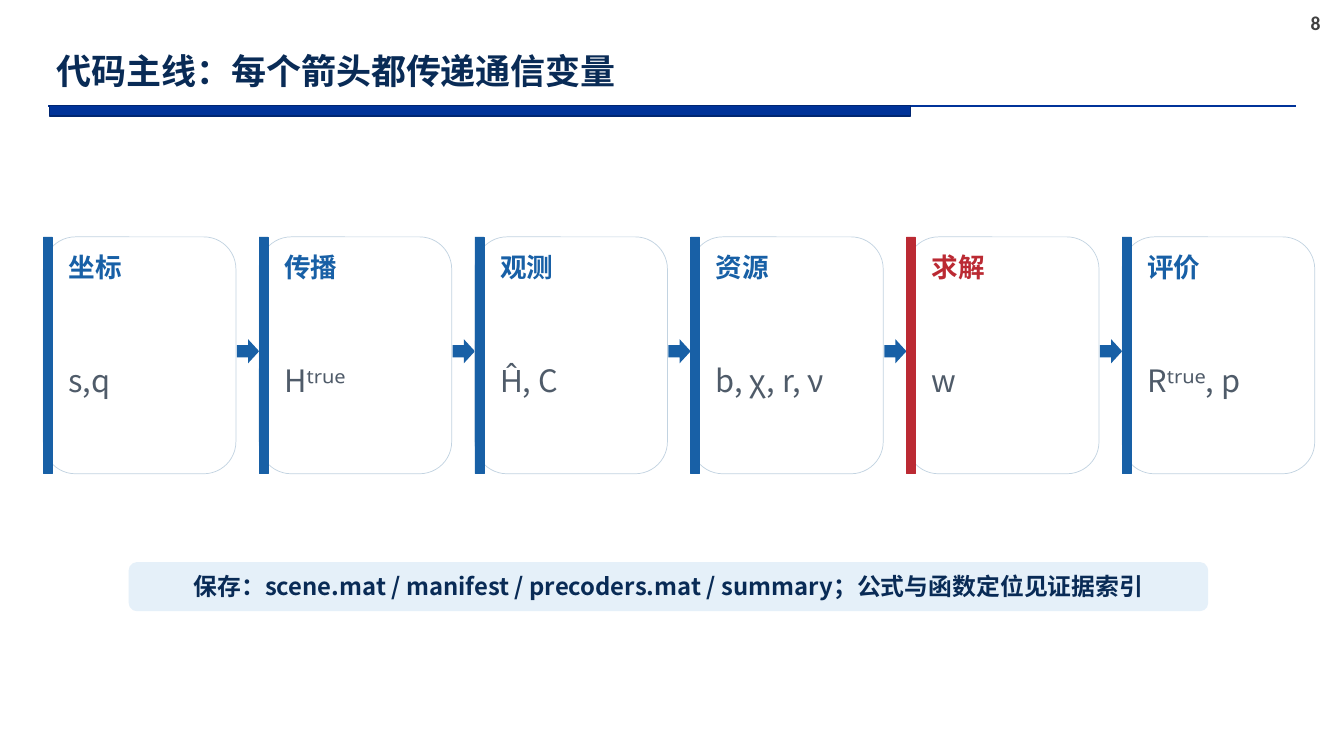
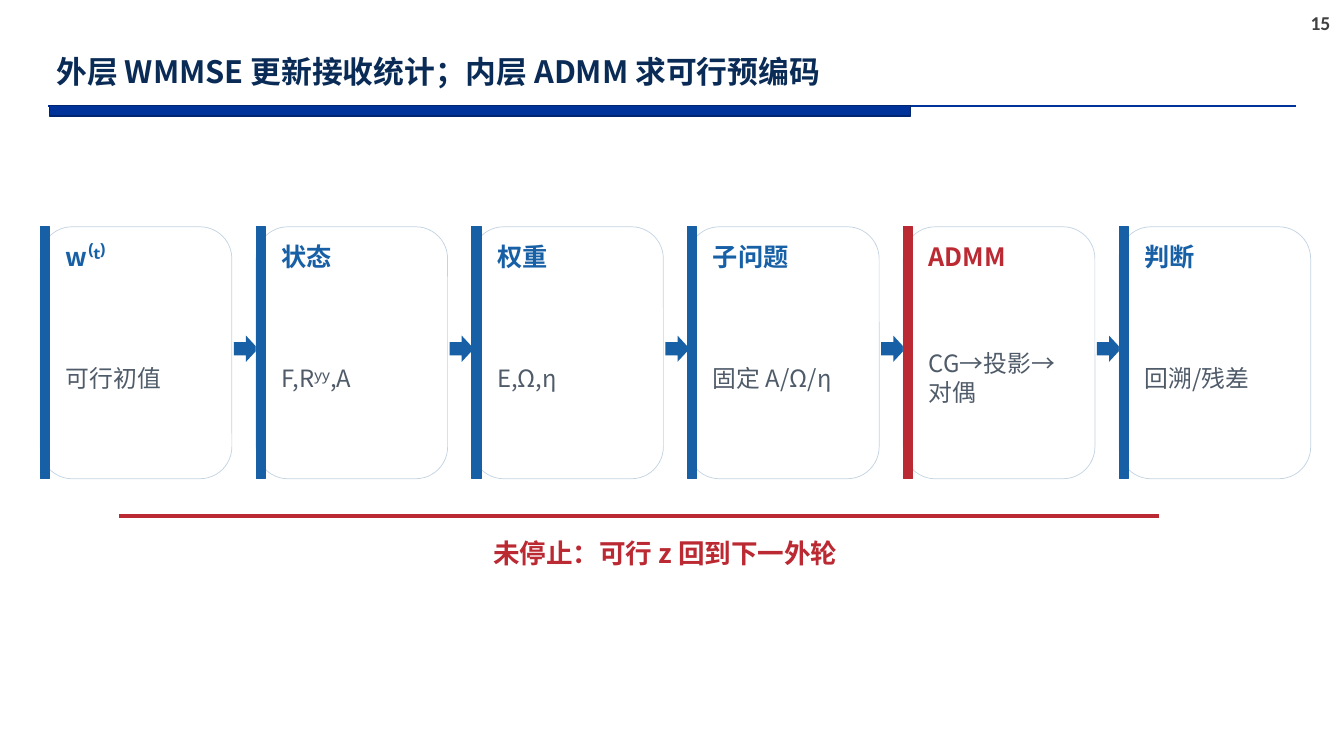
from lxml.etree import SubElement
from pptx import Presentation
from pptx.dml.color import RGBColor
from pptx.enum.shapes import MSO_CONNECTOR, MSO_SHAPE
from pptx.enum.text import MSO_ANCHOR, PP_ALIGN
from pptx.oxml.ns import qn
from pptx.util import Inches, Pt

NAVY = RGBColor(0x09, 0x2B, 0x56)
BAND = RGBColor(0x00, 0x33, 0x99)
BAND_EDGE = RGBColor(0x00, 0x26, 0x71)
BLUE = RGBColor(0x18, 0x60, 0xA6)
RED = RGBColor(0xBB, 0x2A, 0x33)
GREY = RGBColor(0x4F, 0x5B, 0x69)
DARK = RGBColor(0x40, 0x40, 0x40)
CARD_EDGE = RGBColor(0xC2, 0xD3, 0xE1)
PALE = RGBColor(0xE5, 0xF0, 0xF9)
WHITE = RGBColor(0xFF, 0xFF, 0xFF)

BODY_FONT = "Noto Sans CJK SC"
NUMBER_FONT = "Calibri"

CARD_PITCH = 2.14
BAR_WIDTH = 0.09
ARROW_OFFSET = 1.92
ARROW_LIFT = 0.04


def box(left, top, width, height):
    return Inches(left), Inches(top), Inches(width), Inches(height)


def style_paragraph(paragraph, size, color, bold=True, font_name=BODY_FONT):
    font = paragraph.font
    font.size = Pt(size)
    font.bold = bold
    font.color.rgb = color
    font.name = font_name
    properties = paragraph._p.pPr.find(qn("a:defRPr"))
    SubElement(properties, qn("a:ea")).set("typeface", font_name)


def add_block(slide, preset, place, fill, edge=None, edge_width=0.5):
    block = slide.shapes.add_shape(preset, *box(*place))
    block.shadow.inherit = False
    block.fill.solid()
    block.fill.fore_color.rgb = fill
    if edge is None:
        block.line.fill.background()
    else:
        block.line.color.rgb = edge
        block.line.width = Pt(edge_width)


def add_rule(slide, start, end, color, width):
    rule = slide.shapes.add_connector(
        MSO_CONNECTOR.STRAIGHT, *map(Inches, (*start, *end)))
    rule.line.color.rgb = color
    rule.line.width = Pt(width)
    SubElement(rule._element.spPr, qn("a:effectLst"))


def add_label(slide, place, text, size, color, bold=True, align=PP_ALIGN.LEFT):
    frame = slide.shapes.add_textbox(*box(*place)).text_frame
    frame.word_wrap = True
    frame.vertical_anchor = MSO_ANCHOR.MIDDLE
    frame.margin_left = frame.margin_right = Inches(0.05)
    frame.margin_top = frame.margin_bottom = Inches(0.05)
    paragraph = frame.paragraphs[0]
    paragraph.text = text
    paragraph.alignment = align
    style_paragraph(paragraph, size, color, bold)


def add_page(deck, title, title_size, number):
    """Add a slide with the shared title, band and page number."""
    slide = deck.slides.add_slide(deck.slide_layouts[5])
    add_rule(slide, (0.48, 1.05), (12.85, 1.05), BAND, 1.5)
    add_block(slide, MSO_SHAPE.RECTANGLE, (0.49, 1.05, 8.54, 0.1),
              BAND, BAND_EDGE, 1)

    number_frame = slide.shapes.add_textbox(
        *box(12.9, 0.06, 0.4, 0.34)).text_frame
    number_frame.word_wrap = False
    number_frame.text = str(number)
    style_paragraph(number_frame.paragraphs[0], 14, DARK,
                    font_name=NUMBER_FONT)

    heading = slide.shapes.title
    heading.left, heading.top, heading.width, heading.height = box(
        0.46, 0.4, 9.45, 0.65)
    frame = heading.text_frame
    frame.word_wrap = False
    frame.vertical_anchor = MSO_ANCHOR.MIDDLE
    frame.text = title
    paragraph = frame.paragraphs[0]
    paragraph.alignment = PP_ALIGN.LEFT
    paragraph.line_spacing = 0.9
    style_paragraph(paragraph, title_size, NAVY)
    return slide


def add_card(slide, place, heading, detail, accent, heading_size, detail_size):
    left, top, width, height = place
    add_block(slide, MSO_SHAPE.ROUNDED_RECTANGLE, place, WHITE, CARD_EDGE)
    add_block(slide, MSO_SHAPE.RECTANGLE, (left, top, BAR_WIDTH, height),
              accent, accent)
    add_label(slide, (left + 0.2, top + 0.11, width - 0.34, 0.37),
              heading, heading_size, accent)
    add_label(slide, (left + 0.2, top + 0.59, width - 0.35, height - 0.69),
              detail, detail_size, GREY, bold=False)


def add_flow(slide, steps, key_step, first_card, arrow_size,
             heading_size, detail_size):
    """Draw a row of cards joined by arrows; key_step is shown in red."""
    first_left, top, width, height = first_card
    arrow_width, arrow_height = arrow_size
    arrow_top = top + (height - arrow_height) / 2 - ARROW_LIFT
    for index, (heading, detail) in enumerate(steps):
        left = first_left + index * CARD_PITCH
        accent = RED if heading == key_step else BLUE
        add_card(slide, (left, top, width, height), heading, detail, accent,
                 heading_size, detail_size)
        if index < len(steps) - 1:
            add_block(slide, MSO_SHAPE.RIGHT_ARROW,
                      (left + ARROW_OFFSET, arrow_top,
                       arrow_width, arrow_height), BLUE)


def build_code_path(deck):
    slide = add_page(deck, "代码主线：每个箭头都传递通信变量", 25, 8)
    steps = [("坐标", "s,q"), ("传播", "Hᵗʳᵘᵉ"), ("观测", "Ĥ, C"),
             ("资源", "b, χ, r, ν"), ("求解", "w"), ("评价", "Rᵗʳᵘᵉ, p")]
    add_flow(slide, steps, "求解", (0.43, 2.35, 1.91, 2.35), (0.22, 0.24),
             heading_size=19, detail_size=22)
    add_block(slide, MSO_SHAPE.ROUNDED_RECTANGLE, (1.28, 5.58, 10.7, 0.48),
              PALE, PALE)
    add_label(slide, (1.34, 5.62, 10.58, 0.39),
              "保存：scene.mat / manifest / precoders.mat / summary；"
              "公式与函数定位见证据索引", 17, NAVY, align=PP_ALIGN.CENTER)


def build_solver_loop(deck):
    slide = add_page(
        deck, "外层 WMMSE 更新接收统计；内层 ADMM 求可行预编码", 22, 15)
    steps = [("w⁽ᵗ⁾", "可行初值"), ("状态", "F,Rʸʸ,A"), ("权重", "E,Ω,η"),
             ("子问题", "固定 A/Ω/η"), ("ADMM", "CG→投影→对偶"),
             ("判断", "回溯/残差")]
    add_flow(slide, steps, "ADMM", (0.4, 2.25, 1.9, 2.5), (0.24, 0.26),
             heading_size=18, detail_size=17)
    add_rule(slide, (11.5, 5.12), (1.18, 5.12), RED, 2.3)
    add_label(slide, (4.1, 5.22, 5, 0.53), "未停止：可行 z 回到下一外轮",
              19, RED, align=PP_ALIGN.CENTER)


def main():
    deck = Presentation()
    deck.slide_width, deck.slide_height = Inches(13.33), Inches(7.5)
    build_code_path(deck)
    build_solver_loop(deck)
    deck.save("out.pptx")


if __name__ == "__main__":
    main()
